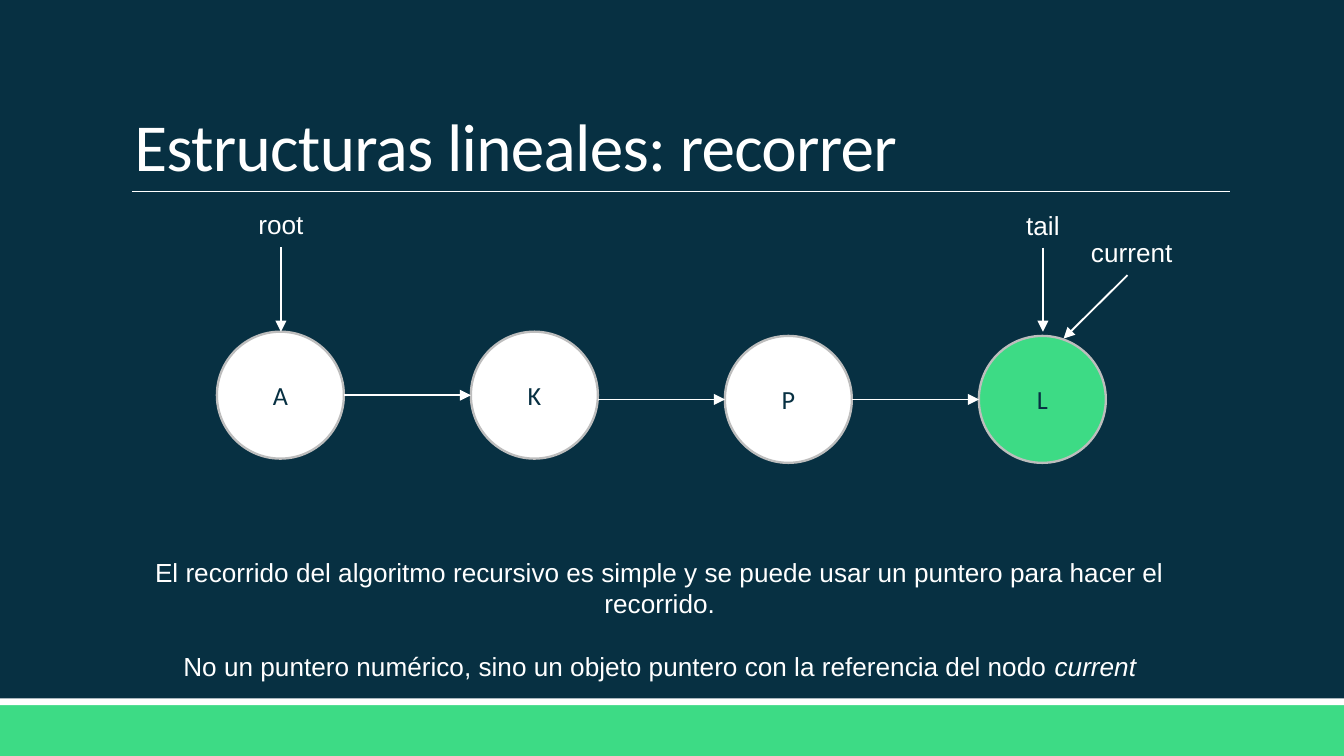
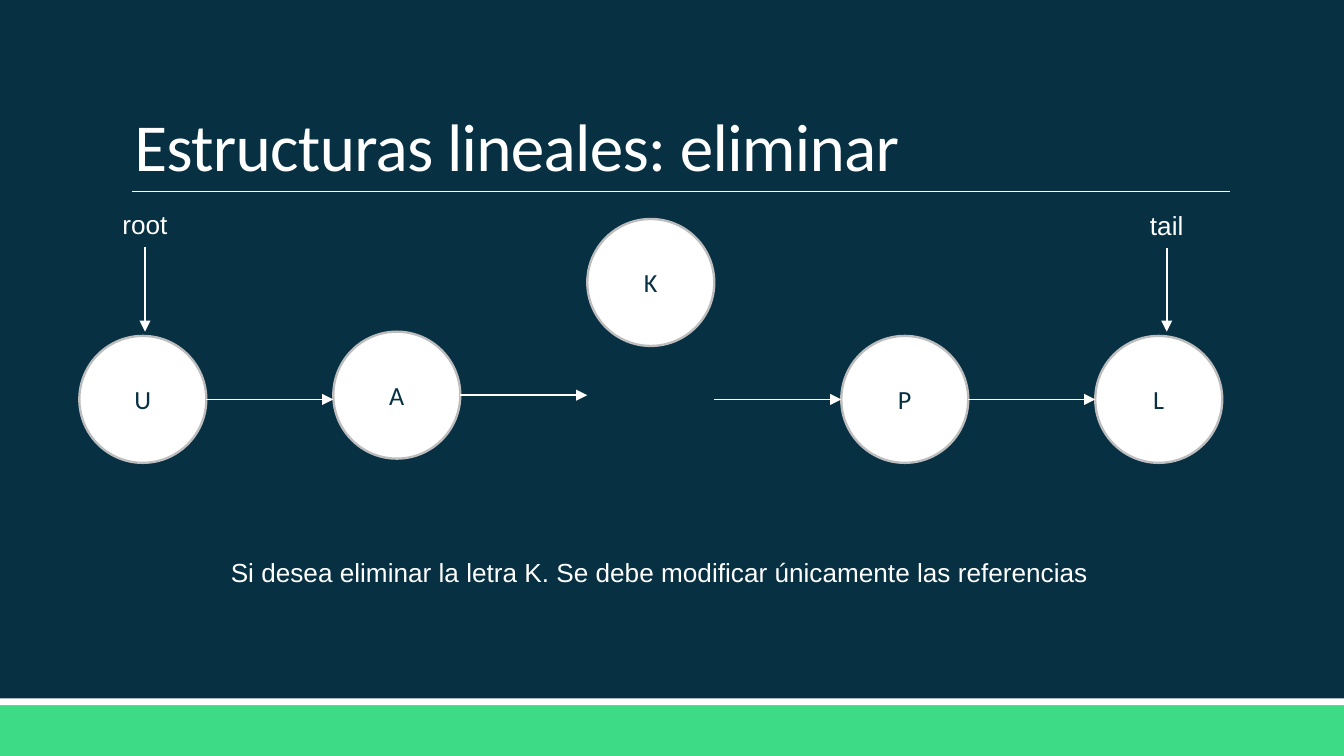
"""Build two slides on walking and deleting in a linked list."""
import pptx
import pptx.util
import pptx.dml.color
import pptx.enum.shapes
import pptx.enum.text
import pptx.oxml
import pptx.oxml.ns
from lxml import etree

Cm, Pt = pptx.util.Cm, pptx.util.Pt
RGBColor = pptx.dml.color.RGBColor
SHAPE = pptx.enum.shapes.MSO_SHAPE
ANCHOR = pptx.enum.text.MSO_ANCHOR
ALIGN = pptx.enum.text.PP_ALIGN
FIT = pptx.enum.text.MSO_AUTO_SIZE.SHAPE_TO_FIT_TEXT

NAVY = RGBColor(0x07, 0x30, 0x42)
GREEN = RGBColor(0x3D, 0xDB, 0x85)
WHITE = RGBColor(0xFF, 0xFF, 0xFF)
GREY = RGBColor(0xBD, 0xBD, 0xBD)

WIDTH, HEIGHT = 25.4, 14.29
DIAMETER, PITCH = 2.4, 4.8
HIGH, LOW, LIFTED = 6.27, 6.35, 4.14
LABEL_W, LABEL_H = 2.5, 0.86

TITLE = {"name": "Calibri", "size": Pt(36), "color": WHITE}
BODY = {"name": "Arial", "size": Pt(14), "color": WHITE}
NODE = {"name": "Calibri", "size": Pt(14), "color": NAVY}

SLIDES = [
    {
        "title": "Estructuras lineales: recorrer",
        "body": [
            [("El recorrido del algoritmo recursivo es simple y se puede usar "
              "un puntero para hacer el recorrido.", {})],
            [("No un puntero numérico, sino un objeto puntero con la "
              "referencia del nodo ", {}), ("current", {"italic": True})],
        ],
        "body_h": 2.64,
        "left": 4.1,
        "nodes": [("A", HIGH, WHITE), ("K", HIGH, WHITE),
                  ("P", LOW, WHITE), ("L", LOW, GREEN)],
        "links": [HIGH, LOW, LOW],
        "labels": [("root", 5.31, 3.81, (5.31, 4.67, 5.31, 6.27)),
                   ("tail", 19.71, 3.84, (19.71, 4.68, 19.71, 6.27)),
                   ("current", 21.39, 4.34, (21.31, 5.2, 20.1, 6.4))],
    },
    {
        "title": "Estructuras lineales: eliminar",
        "body": [[("Si desea eliminar la letra K. Se debe modificar "
                   "únicamente las referencias", {})]],
        "body_h": 0.86,
        "left": 1.5,
        "nodes": [("U", LOW, WHITE), ("A", HIGH, WHITE),
                  ("K", LIFTED, WHITE), ("P", LOW, WHITE),
                  ("L", LOW, WHITE)],
        "links": [LOW, HIGH, LOW, LOW],
        "labels": [("root", 2.74, 3.81, (2.74, 4.67, 2.74, 6.27)),
                   ("tail", 22.05, 3.84, (22.05, 4.68, 22.05, 6.27))],
    },
]


def add_run(p, text, fmt):
    r = p.add_run()
    r.text = text
    for key, value in fmt.items():
        if key == "color":
            r.font.color.rgb = value
        else:
            setattr(r.font, key, value)
    return r


def add_shape(s, kind, x, y, w, h, fill):
    sp = s.shapes.add_shape(kind, Cm(x), Cm(y), Cm(w), Cm(h))
    sp.shadow.inherit = False
    sp.fill.solid()
    sp.fill.fore_color.rgb = fill
    sp.line.fill.background()
    return sp


def add_line(s, x1, y1, x2, y2, width=1, arrow=True):
    ln = s.shapes.add_connector(pptx.enum.shapes.MSO_CONNECTOR.STRAIGHT,
                                Cm(x1), Cm(y1), Cm(x2), Cm(y2))
    ln.line.color.rgb = WHITE
    ln.line.width = Pt(width)
    qn = pptx.oxml.ns.qn
    if arrow:
        etree.SubElement(ln.line._get_or_add_ln(), qn("a:tailEnd"),
                         type="triangle")
    etree.SubElement(ln._element.spPr, qn("a:effectLst"))


def add_text(s, x, y, w, h, paragraphs, gap=0):
    tf = s.shapes.add_textbox(Cm(x), Cm(y), Cm(w), Cm(h)).text_frame
    tf.word_wrap = True
    tf.auto_size = FIT
    for i, runs in enumerate(paragraphs):
        p = tf.add_paragraph() if i else tf.paragraphs[0]
        p.alignment = ALIGN.CENTER
        p.space_before = Pt(gap if i else 0)
        for text, extra in runs:
            add_run(p, text, {**BODY, **extra})


def add_frame(s, title):
    s.background.fill.solid()
    s.background.fill.fore_color.rgb = NAVY
    add_shape(s, SHAPE.RECTANGLE, 0, 13.33, WIDTH, 0.96, GREEN)
    add_shape(s, SHAPE.RECTANGLE, 0, 13.2, WIDTH, 0.13, WHITE)
    add_line(s, 2.49, 3.62, 23.24, 3.62, width=0.5, arrow=False)
    tf = s.shapes.add_textbox(Cm(2.29), Cm(0.61), Cm(20.95), Cm(3.02)).text_frame
    tf.word_wrap = True
    tf.vertical_anchor = ANCHOR.BOTTOM
    p = tf.paragraphs[0]
    p.line_spacing = 0.85
    r = add_run(p, title, TITLE)
    r.font._element.set("spc", "-40")


def add_node(s, letter, x, y, fill):
    sp = add_shape(s, SHAPE.OVAL, x, y, DIAMETER, DIAMETER, fill)
    sp.line.color.rgb = GREY
    sp.line.width = Pt(1.25)
    tf = sp.text_frame
    tf.vertical_anchor = ANCHOR.MIDDLE
    p = tf.paragraphs[0]
    p.alignment = ALIGN.CENTER
    add_run(p, letter, NODE)


prs = pptx.Presentation()
prs.slide_width, prs.slide_height = Cm(WIDTH), Cm(HEIGHT)
for data in SLIDES:
    s = prs.slides.add_slide(prs.slide_layouts[6])
    add_frame(s, data["title"])
    add_text(s, 1.7, 10.39, 21.54, data["body_h"], data["body"], gap=17)
    for i, (letter, top, fill) in enumerate(data["nodes"]):
        add_node(s, letter, data["left"] + i * PITCH, top, fill)
    for i, top in enumerate(data["links"]):
        x, y = data["left"] + i * PITCH, top + DIAMETER / 2
        add_line(s, x + DIAMETER, y, x + PITCH, y)
    for word, center, top, arrow in data["labels"]:
        add_text(s, center - LABEL_W / 2, top, LABEL_W, LABEL_H, [[(word, {})]])
        add_line(s, *arrow)
prs.save("out.pptx")
